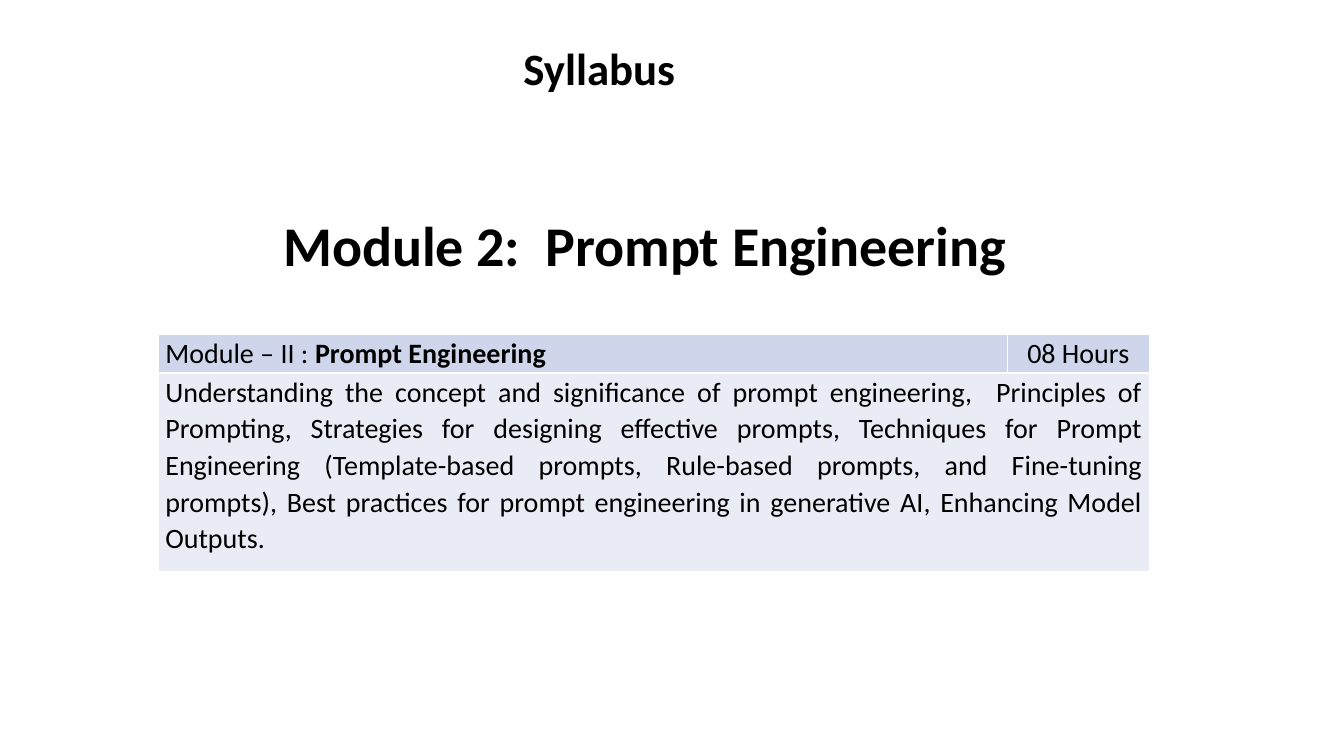
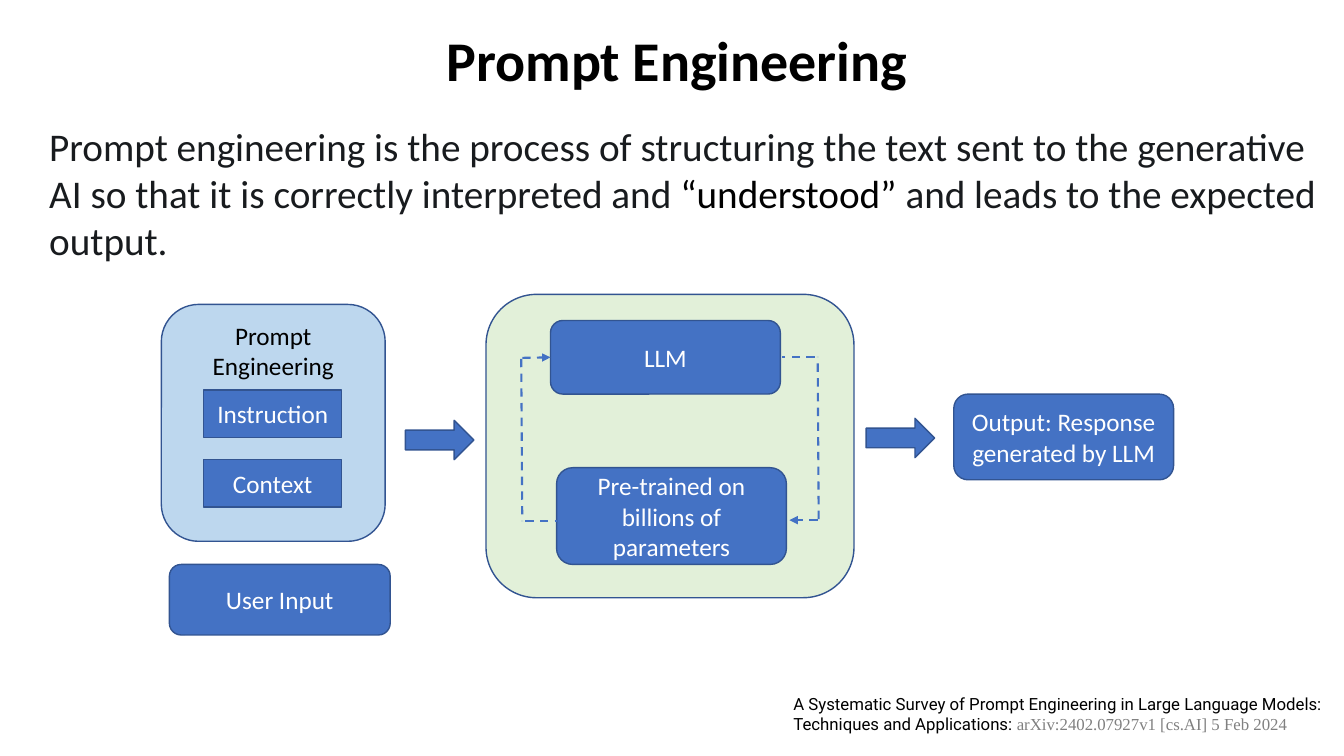
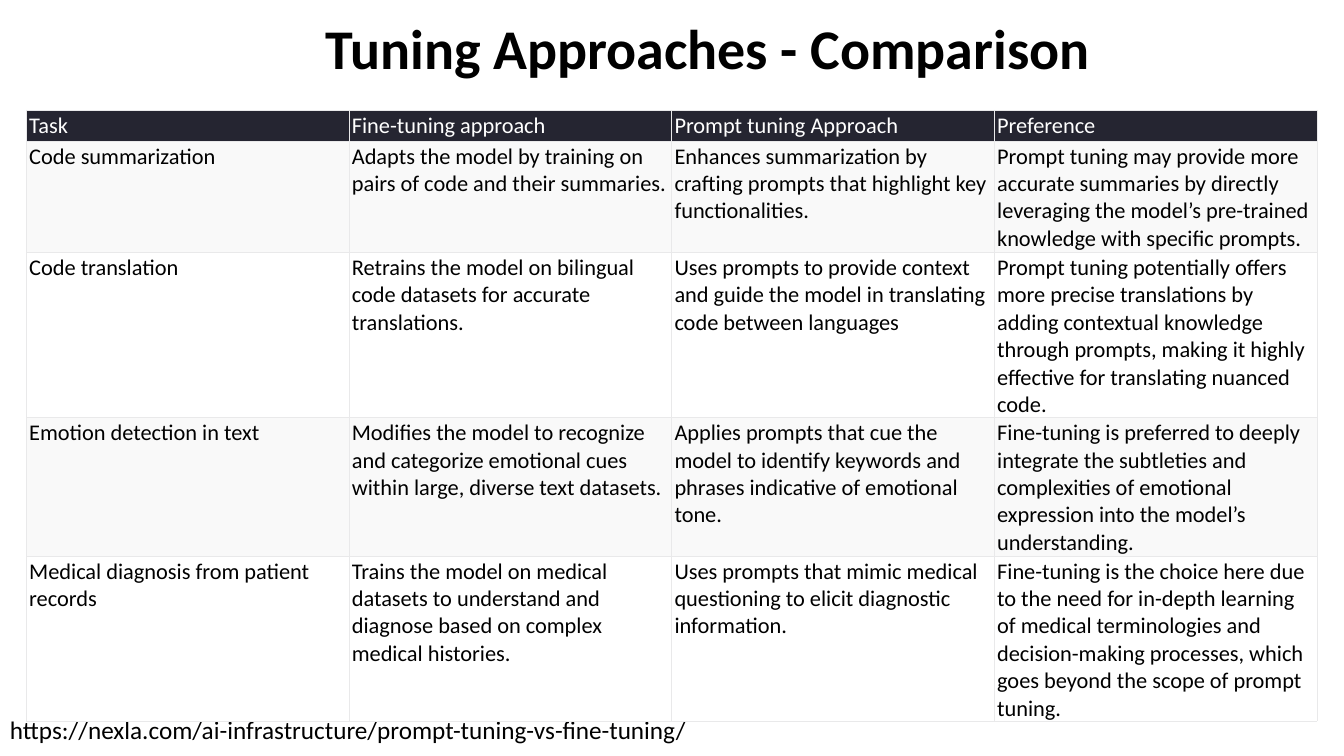
from lxml import etree
from pptx import Presentation
from pptx.dml.color import RGBColor
from pptx.enum.dml import MSO_LINE
from pptx.enum.shapes import MSO_CONNECTOR, MSO_SHAPE
from pptx.enum.text import MSO_ANCHOR, MSO_AUTO_SIZE, PP_ALIGN
from pptx.oxml.ns import qn
from pptx.util import Inches, Pt

LEFT, MID, JUST = PP_ALIGN.LEFT, PP_ALIGN.CENTER, PP_ALIGN.JUSTIFY
TOP, CENTER = MSO_ANCHOR.TOP, MSO_ANCHOR.MIDDLE
RECT, ROUND, ARROW = MSO_SHAPE.RECTANGLE, MSO_SHAPE.ROUNDED_RECTANGLE, MSO_SHAPE.RIGHT_ARROW
STRAIGHT, DASH, FIXED = MSO_CONNECTOR.STRAIGHT, MSO_LINE.DASH, MSO_AUTO_SIZE.NONE

BLACK, WHITE, INK, GREY = "000000", "FFFFFF", "181B1E", "808080"
BLUE, EDGE, SKY, GREEN = "4472C4", "325491", "BDD7EE", "E2F0D9"
NAVY, PALE, RULE = "252531", "F9F9F9", "E9E9EA"
HEAD, BODY = "CFD5EA", "E9EBF5"


def color(code):
    return RGBColor.from_string(code)


def inches(*values):
    return [Inches(v) for v in values]


def write(frame, paras, size=18, font="Calibri", ink=BLACK, bold=False,
          align=LEFT, space=None):
    """Fill a frame; each paragraph is a string or a list of (text, changes)."""
    if isinstance(paras, str):
        paras = [paras]
    for i, runs in enumerate(paras):
        para = frame.add_paragraph() if i else frame.paragraphs[0]
        para.alignment = align
        if space:
            para.line_spacing = space
        if isinstance(runs, str):
            runs = [(runs, {})]
        for text, diff in runs:
            run = para.add_run()
            run.text = text
            look = {"font": font, "ink": ink, "bold": bold, **diff}
            run.font.size = Pt(size)
            run.font.name = look["font"]
            run.font.bold = look["bold"]
            run.font.color.rgb = color(look["ink"])


def border(cell, code, width):
    props = cell._tc.get_or_add_tcPr()
    for side in ("lnL", "lnR", "lnT", "lnB"):
        line = etree.SubElement(props, qn("a:" + side), w=str(Pt(width)))
        fill = etree.SubElement(line, qn("a:solidFill"))
        etree.SubElement(fill, qn("a:srgbClr"), val=code)


class Deck:
    def __init__(self):
        self.prs = Presentation()
        self.prs.slide_width, self.prs.slide_height = inches(13.33, 7.5)
        self.slide = None

    def title(self, text, x, y, w, h=0.77, size=40):
        """Start a slide with its title."""
        self.slide = self.prs.slides.add_slide(self.prs.slide_layouts[5])
        head = self.slide.shapes.title
        head.left, head.top, head.width, head.height = inches(x, y, w, h)
        head.text_frame.auto_size = FIXED
        head.text_frame.vertical_anchor = TOP
        write(head.text_frame, text, size=size, bold=True)

    def text(self, paras, x, y, w, h, **look):
        box = self.slide.shapes.add_textbox(*inches(x, y, w, h))
        box.text_frame.word_wrap = True
        write(box.text_frame, paras, **look)

    def shape(self, kind, x, y, w, h, text="", fill=BLUE, ink=WHITE, anchor=CENTER):
        item = self.slide.shapes.add_shape(kind, *inches(x, y, w, h))
        item.shadow.inherit = False
        item.fill.solid()
        item.fill.fore_color.rgb = color(fill)
        item.line.color.rgb = color(EDGE)
        item.line.width = Pt(1)
        if text:
            item.text_frame.word_wrap = True
            item.text_frame.vertical_anchor = anchor
            write(item.text_frame, text, ink=ink, align=MID)
        return item

    def dash(self, start, end, head=False):
        """Draw a dashed line, with an arrowhead at its end if head is set."""
        link = self.slide.shapes.add_connector(STRAIGHT, *inches(*start, *end))
        link.line.color.rgb = color(BLUE)
        link.line.width = Pt(1.5)
        link.line.dash_style = DASH
        if head:
            etree.SubElement(link.line._get_or_add_ln(), qn("a:tailEnd"), type="triangle")
        etree.SubElement(link._element.spPr, qn("a:effectLst"))
        return link

    def table(self, x, y, cols, rows):
        grid = self.slide.shapes.add_table(
            len(rows), len(cols), *inches(x, y, sum(cols), sum(rows))).table
        grid.first_row = grid.horz_banding = False
        for col, w in zip(grid.columns, cols):
            col.width = Inches(w)
        for row, h in zip(grid.rows, rows):
            row.height = Inches(h)
        return grid

    def cell(self, cell, paras, fill, pad, edge, anchor=TOP, **look):
        """Format a cell; pad is (side, top), edge is (colour, width)."""
        cell.margin_left = cell.margin_right = Inches(pad[0])
        cell.margin_top = cell.margin_bottom = Inches(pad[1])
        cell.vertical_anchor = anchor
        border(cell, *edge)
        cell.fill.solid()
        cell.fill.fore_color.rgb = color(fill)
        write(cell.text_frame, paras, **look)


def syllabus(deck):
    deck.title("Syllabus", 5.09, 0.35, 6.66, 0.64, size=32)
    deck.text("Module 2:  Prompt Engineering", 2.71, 2.04, 7.6, 0.77, size=40, bold=True)
    grid = deck.table(1.57, 3.32, [8.42, 1.41], [0.38, 1.97])
    grid.cell(1, 0).merge(grid.cell(1, 1))
    topics = (
        "Understanding the concept and significance of prompt engineering,  "
        "Principles of Prompting, Strategies for designing effective prompts, "
        "Techniques for Prompt Engineering (Template-based prompts, Rule-based "
        "prompts, and Fine-tuning prompts), Best practices for prompt engineering "
        "in generative AI, Enhancing Model Outputs.")
    name = [[("Module – II : ", {}), ("Prompt Engineering", {"bold": True})]]
    for r, c, paras, fill, align in [
            (0, 0, name, HEAD, LEFT),
            (0, 1, "08 Hours", HEAD, MID),
            (1, 0, topics, BODY, JUST)]:
        deck.cell(grid.cell(r, c), paras, fill, (0.07, 0), (WHITE, 1),
                  size=20, align=align, space=1.07)


def diagram(deck):
    deck.title("Prompt Engineering", 4.33, 0.2, 4.95)
    deck.text([[
        ("Prompt engineering is the process of structuring the text sent to the "
         "generative AI so that it is correctly interpreted and ", {}),
        ("“understood” ", {"ink": BLACK}),
        ("and leads to the expected output.", {})]],
        0.39, 1.16, 12.77, 1.51, size=28, ink=INK)
    deck.text([
        "A Systematic Survey of Prompt Engineering in Large Language Models:",
        [("Techniques and Applications: ", {}),
         ("arXiv:2402.07927v1 [cs.AI] 5 Feb 2024",
          {"font": "Times New Roman", "ink": GREY})]],
        7.77, 6.83, 5.56, 0.5, size=12, font="Roboto")

    deck.shape(ROUND, 4.82, 2.92, 3.65, 3.01, fill=GREEN)
    deck.shape(ROUND, 1.6, 3.02, 2.22, 2.35, "Prompt Engineering",
               fill=SKY, ink=BLACK, anchor=TOP)
    deck.shape(ROUND, 1.68, 5.6, 2.19, 0.7, "User Input")
    model = deck.shape(ROUND, 5.46, 3.18, 2.28, 0.73, "LLM")
    deck.shape(ROUND, 5.52, 4.64, 2.28, 0.96, "Pre-trained on billions of parameters")
    deck.shape(ROUND, 9.46, 3.91, 2.18, 0.85, "Output: Response generated by LLM")
    for y, text in [(3.87, "Instruction"), (4.56, "Context")]:
        deck.shape(RECT, 2.02, y, 1.37, 0.47, text)
    for x, y in [(4.02, 4.17), (8.59, 4.15)]:
        deck.shape(ARROW, x, y, 0.68, 0.39)

    deck.dash((5.18, 3.55), (5.46, 3.55), head=True).end_connect(model, 1)
    deck.dash((5.17, 3.56), (5.18, 5.17))
    deck.dash((5.21, 5.17), (5.52, 5.17))
    deck.dash((8.11, 5.16), (7.83, 5.16), head=True)
    deck.dash((8.12, 5.15), (8.11, 3.54))
    deck.dash((8.08, 3.54), (7.76, 3.54))


def compare(deck):
    deck.title("Tuning Approaches - Comparison", 3.13, 0.08, 8)
    deck.text("https://nexla.com/ai-infrastructure/prompt-tuning-vs-fine-tuning/",
              0, 7.04, 7.09, 0.4)
    rows = [
        ("Task", "Fine-tuning approach", "Prompt tuning Approach", "Preference"),
        ("Code summarization",
         "Adapts the model by training on pairs of code and their summaries.",
         "Enhances summarization by crafting prompts that highlight key functionalities.",
         "Prompt tuning may provide more accurate summaries by directly leveraging "
         "the model’s pre-trained knowledge with specific prompts."),
        ("Code translation",
         "Retrains the model on bilingual code datasets for accurate translations.",
         "Uses prompts to provide context and guide the model in translating code "
         "between languages",
         "Prompt tuning potentially offers more precise translations by adding "
         "contextual knowledge through prompts, making it highly effective for "
         "translating nuanced code."),
        ("Emotion detection in text",
         "Modifies the model to recognize and categorize emotional cues within "
         "large, diverse text datasets.",
         "Applies prompts that cue the model to identify keywords and phrases "
         "indicative of emotional tone.",
         "Fine-tuning is preferred to deeply integrate the subtleties and "
         "complexities of emotional expression into the model’s understanding."),
        ("Medical diagnosis from patient records",
         "Trains the model on medical datasets to understand and diagnose based on "
         "complex medical histories.",
         "Uses prompts that mimic medical questioning to elicit diagnostic information.",
         "Fine-tuning is the choice here due to the need for in-depth learning of "
         "medical terminologies and decision-making processes, which goes beyond "
         "the scope of prompt tuning."),
    ]
    grid = deck.table(0.26, 1.09, [3.2] * 4, [0.3, 1.07, 1.58, 1.32, 1.58])
    for r, row in enumerate(rows):
        fill = PALE if r % 2 else WHITE
        look = {"fill": fill} if r else {"fill": NAVY, "ink": WHITE, "anchor": CENTER}
        for c, text in enumerate(row):
            deck.cell(grid.cell(r, c), text, pad=(0.03, 0.02), edge=(RULE, 0.3),
                      size=16, **look)


def main():
    deck = Deck()
    for build in (syllabus, diagram, compare):
        build(deck)
    deck.prs.save("out.pptx")


if __name__ == "__main__":
    main()
